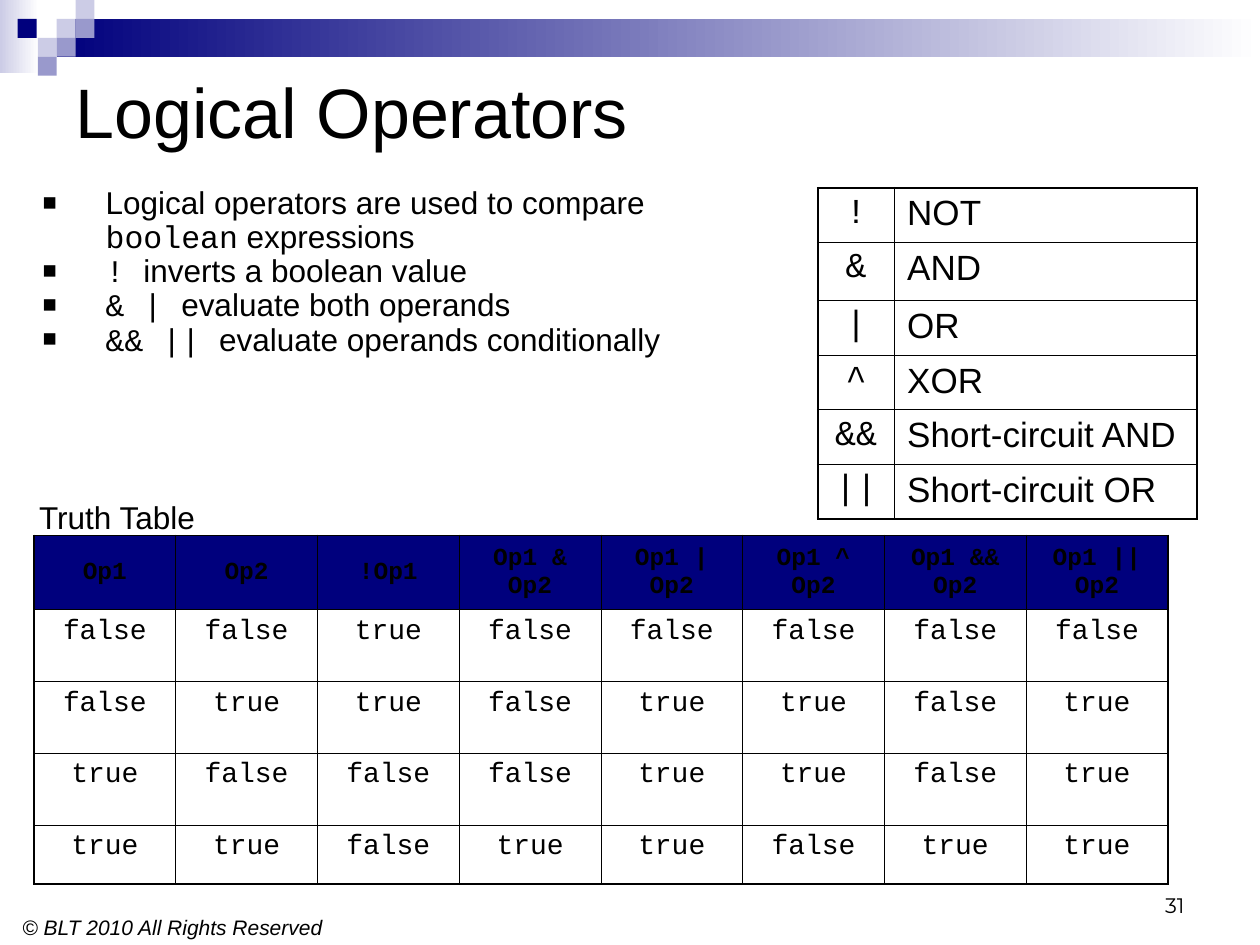
from itertools import product

from lxml.etree import SubElement
from pptx import Presentation
from pptx.dml.color import RGBColor
from pptx.enum.shapes import MSO_SHAPE
from pptx.enum.text import MSO_ANCHOR, PP_ALIGN
from pptx.oxml.ns import qn
from pptx.util import Inches, Pt

COLORS = {"black": "000000", "white": "FFFFFF", "navy": "00007D",
          "lavender": "CCCCE6", "periwinkle": "9999CC"}
SANS, MONO = "Arial", "Courier New"
THIN, THICK = 0.45, 1.08

BULLETS = [
    [("Logical operators are used to compare ", SANS), ("boolean", MONO), (" expressions", SANS)],
    [("! ", MONO), ("inverts a boolean value", SANS)],
    [("& | ", MONO), ("evaluate both operands", SANS)],
    [("&& || ", MONO), ("evaluate operands conditionally", SANS)],
]
OPERATORS = [("!", "NOT"), ("&", "AND"), ("|", "OR"), ("^", "XOR"),
             ("&&", "Short-circuit AND"), ("||", "Short-circuit OR")]
TRUTH_HEADERS = ["Op1", "Op2", "!Op1", "Op1 & Op2", "Op1 | Op2", "Op1 ^ Op2",
                 "Op1 && Op2", "Op1 || Op2"]


def color(name):
    return RGBColor.from_string(COLORS[name])


def style(font, size, name=SANS, bold=False, italic=False):
    font.size, font.name, font.bold, font.italic = Pt(size), name, bold, italic
    font.color.rgb = color("black")


def add_block(slide, left, top, width, height, fill, fade_to=None):
    """Add a borderless rectangle, optionally fading from left to right."""
    shape = slide.shapes.add_shape(MSO_SHAPE.RECTANGLE, Inches(left), Inches(top),
                                   Inches(width), Inches(height))
    shape.shadow.inherit = False
    shape.line.fill.background()
    if fade_to:
        shape.fill.gradient()
        shape.fill.gradient_angle = 0
        for stop, name, position in zip(shape.fill.gradient_stops, (fill, fade_to), (0, 1)):
            stop.color.rgb = color(name)
            stop.position = position
    else:
        shape.fill.solid()
        shape.fill.fore_color.rgb = color(fill)


def add_banner(slide, left, top):
    add_block(slide, left, top, 0.31, 0.58, "lavender", "white")
    add_block(slide, left + 0.45, top + 0.15, 9.55, 0.3, "navy", "white")
    side = 0.15
    add_block(slide, left + 0.14, top + side, side, side, "navy")
    for column, row, fill in [(3, 1, "lavender"), (4, 0, "lavender"), (4, 1, "periwinkle"),
                              (2, 2, "lavender"), (3, 2, "periwinkle"), (2, 3, "periwinkle")]:
        add_block(slide, left + column * side, top + row * side, side, side, fill)


def add_text_box(slide, left, top, width, height):
    box = slide.shapes.add_textbox(Inches(left), Inches(top), Inches(width), Inches(height))
    box.text_frame.word_wrap = True
    return box.text_frame


def add_label(slide, box, text, size, align=PP_ALIGN.LEFT, font=SANS, italic=False,
              anchor=MSO_ANCHOR.TOP, line_spacing=1.0):
    frame = add_text_box(slide, *box)
    frame.vertical_anchor = anchor
    paragraph = frame.paragraphs[0]
    paragraph.text = text
    paragraph.alignment = align
    paragraph.line_spacing = line_spacing
    style(paragraph.font, size, font, italic=italic)


def set_title(slide, left, top, width, height):
    title = slide.shapes.title
    title.left, title.top = Inches(left), Inches(top)
    title.width, title.height = Inches(width), Inches(height)
    title.text_frame.text = "Logical Operators"
    title.text_frame.vertical_anchor = MSO_ANCHOR.MIDDLE
    paragraph = title.text_frame.paragraphs[0]
    paragraph.alignment = PP_ALIGN.LEFT
    style(paragraph.font, 40)


def add_square_bullet(paragraph):
    properties = paragraph._p.get_or_add_pPr()
    properties.set("marL", str(Inches(0.5)))
    properties.set("indent", str(-Inches(0.5)))
    bullet_color = SubElement(properties, qn("a:buClr"))
    SubElement(bullet_color, qn("a:srgbClr"), val=COLORS["black"])
    SubElement(properties, qn("a:buSzPct"), val="75000")
    SubElement(properties, qn("a:buFont"), typeface=SANS)
    SubElement(properties, qn("a:buChar"), char="■")


def add_bullets(slide, left, top, width, height):
    frame = add_text_box(slide, left, top, width, height)
    for index, parts in enumerate(BULLETS):
        paragraph = frame.add_paragraph() if index else frame.paragraphs[0]
        add_square_bullet(paragraph)
        paragraph.line_spacing = 0.9
        for text, font in parts:
            run = paragraph.add_run()
            run.text = text
            style(run.font, 18, font)


def set_borders(cell, row, column, last_row, last_column):
    """Draw thick lines on the table's outer edge and thin ones inside."""
    properties = cell._tc.get_or_add_tcPr()
    outer_sides = {"a:lnL": column == 0, "a:lnR": column == last_column,
                   "a:lnT": row == 0, "a:lnB": row == last_row}
    for tag, outer in outer_sides.items():
        line = SubElement(properties, qn(tag), w=str(Pt(THICK if outer else THIN)))
        fill = SubElement(line, qn("a:solidFill"))
        SubElement(fill, qn("a:srgbClr"), val=COLORS["black"])


def add_grid(slide, left, top, widths, heights, rows, format_cell):
    """Add a bordered table; format_cell(cell, row, column) styles each cell."""
    table = slide.shapes.add_table(len(heights), len(widths), Inches(left), Inches(top),
                                   Inches(sum(widths)), Inches(sum(heights))).table
    table.first_row = table.horz_banding = False
    for column, width in zip(table.columns, widths):
        column.width = Inches(width)
    for row, height in zip(table.rows, heights):
        row.height = Inches(height)
    for row, texts in enumerate(rows):
        for column, text in enumerate(texts):
            cell = table.cell(row, column)
            cell.text = text
            set_borders(cell, row, column, len(heights) - 1, len(widths) - 1)
            cell.fill.background()
            format_cell(cell, row, column)


def format_operator_cell(cell, row, column):
    paragraph = cell.text_frame.paragraphs[0]
    paragraph.alignment = PP_ALIGN.LEFT if column else PP_ALIGN.CENTER
    style(paragraph.font, 20, SANS if column else MONO)


def format_truth_cell(cell, row, column):
    paragraph = cell.text_frame.paragraphs[0]
    paragraph.alignment = PP_ALIGN.CENTER
    header = row == 0
    style(paragraph.font, 14 if header else 16, MONO, bold=header)
    if header:
        cell.vertical_anchor = MSO_ANCHOR.MIDDLE
        cell.fill.solid()
        cell.fill.fore_color.rgb = color("navy")


def add_operator_table(slide, left, top):
    heights = [0.43, 0.46] + [0.43] * 4
    add_grid(slide, left, top, [0.61, 2.4], heights, OPERATORS, format_operator_cell)


def add_truth_table(slide, left, top, width):
    rows = [TRUTH_HEADERS]
    for a, b in product((False, True), repeat=2):
        values = [a, b, not a, a & b, a | b, a ^ b, a and b, a or b]
        rows.append([str(value).lower() for value in values])
    columns = len(TRUTH_HEADERS)
    heights = [0.59] + [0.57] * 3 + [0.47]
    add_grid(slide, left, top, [width / columns] * columns, heights, rows, format_truth_cell)


def main():
    presentation = Presentation()
    presentation.slide_width, presentation.slide_height = Inches(10), Inches(7.5)
    slide = presentation.slides.add_slide(presentation.slide_layouts[5])
    add_banner(slide, 0, 0)
    add_label(slide, (0.08, 7.25, 3.33, 0.26), "© BLT 2010 All Rights Reserved", 12,
              italic=True, line_spacing=0.8)
    add_label(slide, (7.17, 6.83, 2.33, 0.5), "31", 12, PP_ALIGN.RIGHT, "Montserrat",
              anchor=MSO_ANCHOR.BOTTOM)
    set_title(slide, 0.5, 0.5, 9, 0.75)
    add_bullets(slide, 0.24, 1.44, 5.72, 1.69)
    add_operator_table(slide, 6.49, 1.49)
    add_truth_table(slide, 0.27, 4.25, 9)
    add_label(slide, (0.11, 3.9, 1.64, 0.4), "Truth Table", 18, PP_ALIGN.CENTER)
    presentation.save("out.pptx")


if __name__ == "__main__":
    main()
